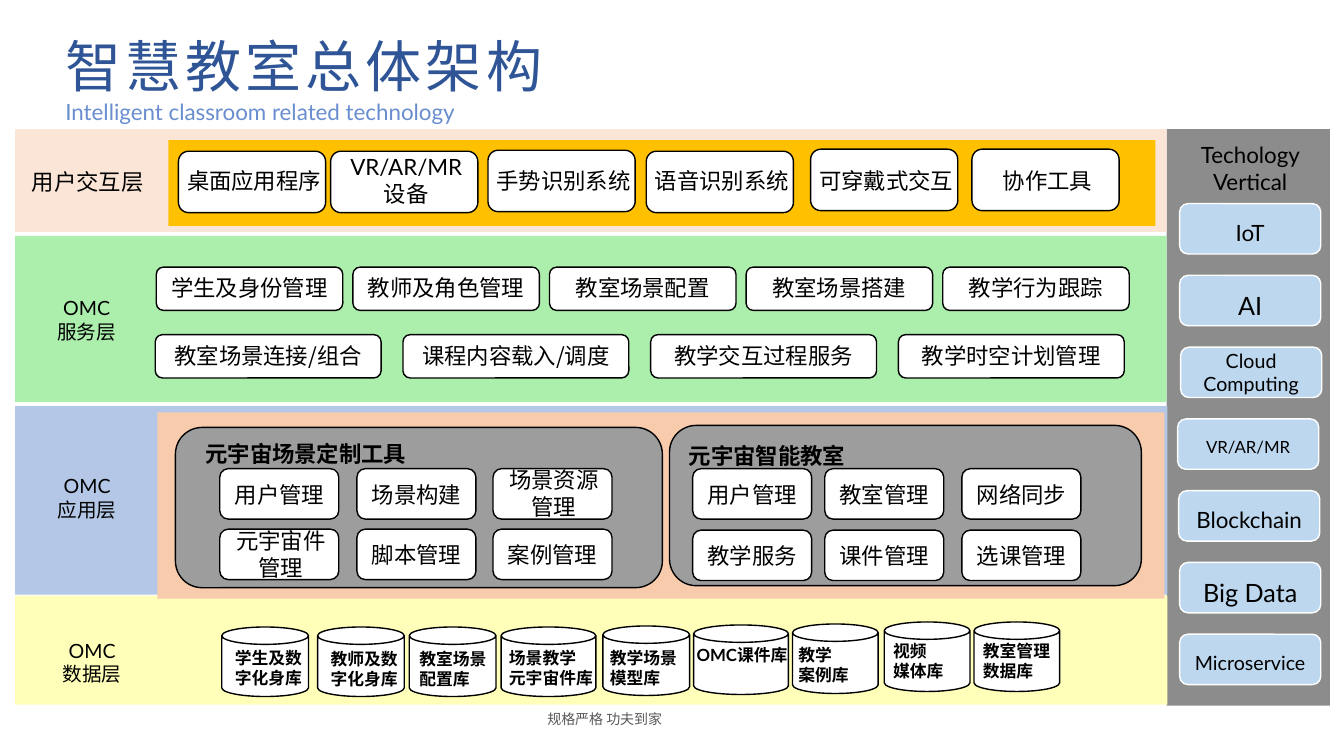
from lxml import etree
from pptx import Presentation
from pptx.dml.color import RGBColor
from pptx.enum.lang import MSO_LANGUAGE_ID
from pptx.enum.shapes import MSO_SHAPE
from pptx.enum.text import MSO_ANCHOR, MSO_AUTO_SIZE, PP_ALIGN
from pptx.oxml.ns import qn
from pptx.util import Inches, Pt

LEFT, CENTER = PP_ALIGN.LEFT, PP_ALIGN.CENTER
ROUND, RECT, CAN = MSO_SHAPE.ROUNDED_RECTANGLE, MSO_SHAPE.RECTANGLE, MSO_SHAPE.CAN
CHINESE_FONT = "Noto Sans CJK SC"

presentation = Presentation()
presentation.slide_width, presentation.slide_height = Inches(13.33), Inches(7.5)
slide = presentation.slides.add_slide(presentation.slide_layouts[6])


def add_box(kind, place, fill=None, line=None):
    """Add a preset shape, or a text box when kind is None."""
    lengths = [Inches(value) for value in place]
    if kind is None:
        shape = slide.shapes.add_textbox(*lengths)
        shape.text_frame.auto_size = MSO_AUTO_SIZE.SHAPE_TO_FIT_TEXT
        return shape
    shape = slide.shapes.add_shape(kind, *lengths)
    shape.shadow.inherit = False
    if fill:
        shape.fill.solid()
        shape.fill.fore_color.rgb = RGBColor.from_string(fill)
    else:
        shape.fill.background()
    if line:
        shape.line.color.rgb = RGBColor.from_string(line)
        shape.line.width = Pt(1)
    else:
        shape.line.fill.background()
    return shape


def write(shape, text, size, color="000000", font="Lato", align=CENTER,
          anchor=MSO_ANCHOR.MIDDLE, bold=False, spacing=None, wrap=True):
    """Fill a shape with text, one paragraph per line; return the last run."""
    frame = shape.text_frame
    frame.word_wrap, frame.vertical_anchor = wrap, anchor
    font_format = {"size": Pt(size), "name": font, "bold": bold,
                   "language_id": MSO_LANGUAGE_ID.SIMPLIFIED_CHINESE}
    for index, line in enumerate(text.split("\n")):
        paragraph = frame.add_paragraph() if index else frame.paragraphs[0]
        paragraph.alignment, paragraph.line_spacing = align, spacing
        run = paragraph.add_run()
        run.text = line
        for name, value in font_format.items():
            setattr(run.font, name, value)
        run.font.color.rgb = RGBColor.from_string(color)
        etree.SubElement(run.font._element, qn("a:ea"), typeface=CHINESE_FONT)
    return run


# Title, subtitle and footer
title = write(add_box(None, (0.55, 0.26, 5.41, 0.77)), "智慧教室总体架构", 40,
              "2F5597", "Roboto", LEFT, MSO_ANCHOR.TOP)
title.font._element.set("spc", "300")
subtitle = write(add_box(None, (0.55, 0.92, 4.79, 0.37)),
                 "Intelligent classroom related technology", 16, "4472C4",
                 align=LEFT, anchor=MSO_ANCHOR.TOP)
subtitle_color = subtitle.font._element.find(".//" + qn("a:srgbClr"))
etree.SubElement(subtitle_color, qn("a:alpha"), val="80000")
write(add_box(None, (5.33, 7, 2.68, 0.27)), "规格严格 功夫到家", 10, "595959",
      "Cabin", LEFT, MSO_ANCHOR.TOP)

# Technology column
add_box(RECT, (11.57, 1.28, 1.62, 5.72), "8C8C8C")
write(add_box(ROUND, (11.7, 1.42, 1.4, 0.5)), "Techology Vertical", 16)
technologies = [("IoT", 16, 11.7), ("AI", 18, 11.7), ("Cloud Computing", 14, 11.71),
                ("VR/AR/MR", 12, 11.68), ("Blockchain", 16, 11.69),
                ("Big Data", 18, 11.7), ("Microservice", 14, 11.7)]
for index, (name, size, left) in enumerate(technologies):
    shape = add_box(ROUND, (left, 2.02 + 0.712 * index, 1.4, 0.5), "BDD7EE", "FFFFFF")
    write(shape, name, size, spacing=None if name == "Cloud Computing" else 1.3)

# Layer bands and panels
bands = [(0.15, 1.28, 11.42, 1.02, "FBE5D6"), (0.15, 2.34, 11.42, 1.65, "ACEEAC"),
         (0.15, 4.03, 11.43, 1.87, "B4C7E7"), (0.15, 5.91, 11.43, 1.08, "FFFFB9"),
         (1.67, 1.39, 9.79, 0.85, "FFC000"), (1.56, 4.09, 9.99, 1.85, "F8CBAD")]
for *place, fill in bands:
    add_box(RECT, place, fill)

# Layer names
layer_names = [("用户交互层", 16, 0.17, 1.55, 1.4), ("OMC\n服务层", 14, 0.01, 2.92, 1.7),
               ("OMC\n应用层", 14, 0.01, 4.69, 1.71), ("OMC\n数据层", 14, 0.06, 6.32, 1.71)]
for name, size, left, top, width in layer_names:
    write(add_box(ROUND, (left, top, width, 0.5)), name, size)

# User interaction layer
interactions = [("桌面应用程序", 1.77, 1.5), ("VR/AR/MR\n设备", 3.28, 1.5),
                ("手势识别系统", 4.84, 1.49), ("语音识别系统", 6.41, 1.5),
                ("可穿戴式交互", 8.04, 1.48), ("协作工具", 9.64, 1.48)]
for name, left, top in interactions:
    add_box(ROUND, (left, top, 1.46, 0.61), "FFFFFF", "000000")
for name, left, top in interactions:
    text_top, height = (1.47, 0.64) if "\n" in name else (1.61, 0.37)
    write(add_box(None, (left - 0.12, text_top, 1.74, height)), name, 16,
          anchor=MSO_ANCHOR.TOP)

# Service layer: left, top, width, step and names of each row
service_rows = [
    (1.55, 2.65, 1.85, 1.95,
     ["学生及身份管理", "教师及角色管理", "教室场景配置", "教室场景搭建", "教学行为跟踪"]),
    (1.54, 3.32, 2.24, 2.457,
     ["教室场景连接/组合", "课程内容载入/调度", "教学交互过程服务", "教学时空计划管理"])]
for left, top, width, step, names in service_rows:
    for index, name in enumerate(names):
        shape = add_box(ROUND, (left + step * index, top, width, 0.43), "FFFFFF", "000000")
        write(shape, name, 16, font=CHINESE_FONT, anchor=MSO_ANCHOR.TOP)

# Application layer: panel, heading and a grid of modules
applications = [
    ((1.74, 4.24, 4.83, 1.59), (1.62, 4.25, 2.83, 0.5), "元宇宙场景定制工具", CENTER,
     (2.18, 3.54, 4.89), (4.65, 5.25),
     ["用户管理", "场景构建", "场景资源管理", "元宇宙件管理", "脚本管理", "案例管理"]),
    ((6.64, 4.22, 4.68, 1.59), (6.71, 4.27, 3.57, 0.5), "元宇宙智能教室", LEFT,
     (6.87, 8.18, 9.54), (4.65, 5.26),
     ["用户管理", "教室管理", "网络同步", "教学服务", "课件管理", "选课管理"])]
for panel, heading, heading_text, align, lefts, tops, modules in applications:
    add_box(ROUND, panel, "9D9D9D", "000000")
    write(add_box(ROUND, heading), heading_text, 16, align=align, bold=True)
    for index, name in enumerate(modules):
        left, top = lefts[index % 3], tops[index // 3]
        add_box(ROUND, (left, top, 1.18, 0.5), "FFFFFF", "000000")
        if len(name) > 4:
            place, align = (left - 0.03, top - 0.07, 1.27, 0.64), CENTER
        else:
            place, align = (left + 0.05, top + 0.07, 1.27, 0.37), LEFT
        write(add_box(None, place), name, 16, align=align, anchor=MSO_ANCHOR.TOP)

# Data layer: can left, top, width, then text left, top, width
databases = [("学生及数\n字化身库", 2.2, 6.22, 0.86, 2.23, 6.38, 0.89),
             ("教师及数\n字化身库", 3.15, 6.22, 0.86, 3.18, 6.39, 0.89),
             ("教室场景\n配置库", 4.06, 6.22, 0.86, 4.06, 6.39, 0.89),
             ("场景教学\n元宇宙件库", 4.97, 6.22, 0.94, 4.95, 6.38, 1.06),
             ("教学场景\n模型库", 5.98, 6.21, 0.86, 5.95, 6.38, 0.98),
             ("OMC课件库", 6.88, 6.2, 0.94, 6.81, 6.35, 1.15),
             ("教学\n案例库", 7.86, 6.19, 0.85, 7.82, 6.35, 0.72),
             ("视频\n媒体库", 8.77, 6.17, 0.85, 8.76, 6.31, 0.72),
             ("教室管理\n数据库", 9.66, 6.17, 0.85, 9.65, 6.31, 0.89)]
for name, left, top, width, *text_place in databases:
    add_box(CAN, (left, top, width, 0.69), "FFFFFF", "000000")
for name, left, top, width, *text_place in databases:
    height = 0.5 if "\n" in name else 0.3
    write(add_box(None, (*text_place, height)), name, 12, align=LEFT,
          anchor=MSO_ANCHOR.TOP, bold=True, wrap=False)

presentation.save("out.pptx")
